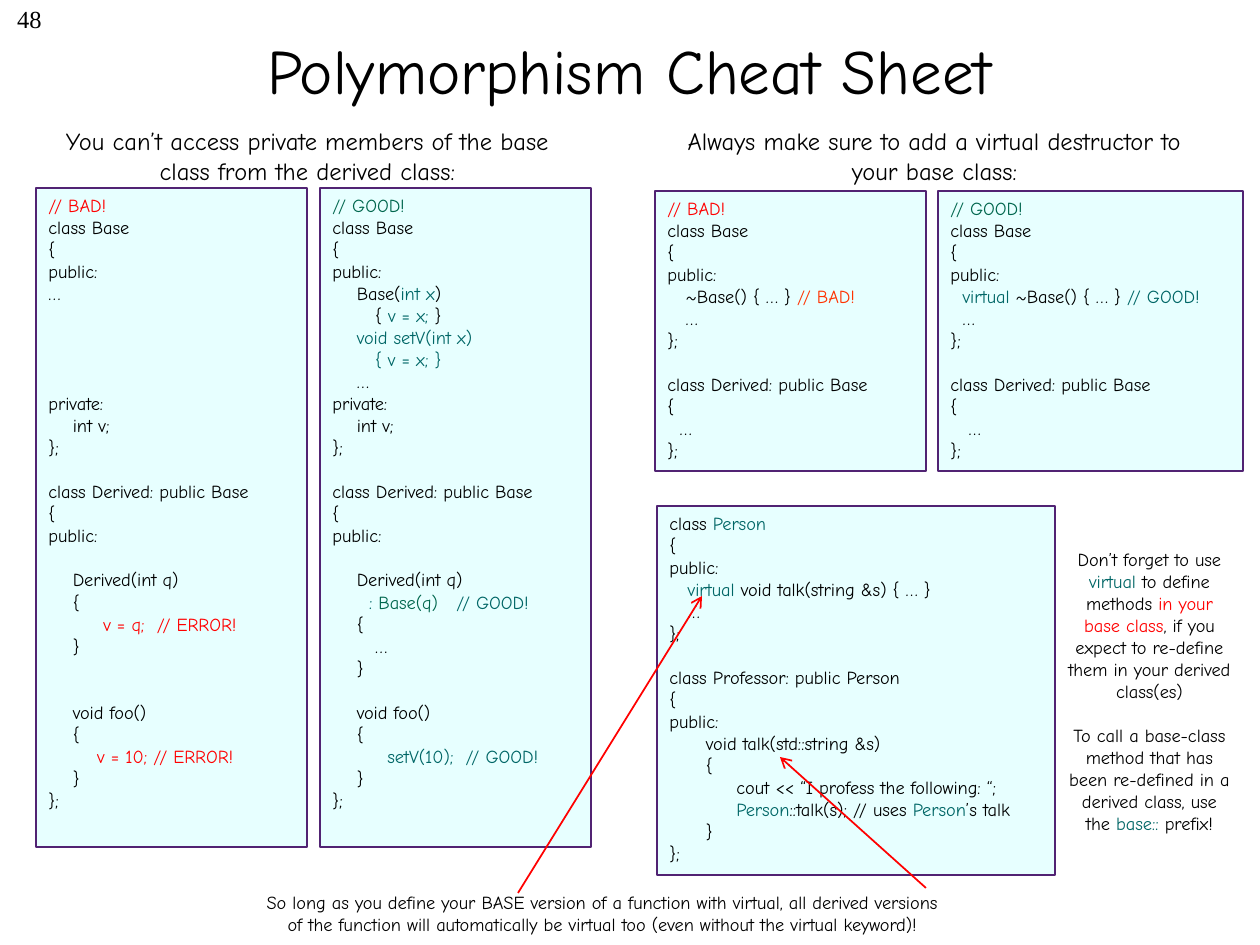
from dataclasses import dataclass

from lxml import etree
from pptx import Presentation
from pptx.dml.color import RGBColor
from pptx.enum.shapes import MSO_CONNECTOR, MSO_SHAPE
from pptx.enum.text import MSO_ANCHOR, PP_ALIGN
from pptx.oxml.ns import qn
from pptx.util import Pt

LEFT, MID, RIGHT = PP_ALIGN.LEFT, PP_ALIGN.CENTER, PP_ALIGN.RIGHT
TOP, MIDDLE = MSO_ANCHOR.TOP, MSO_ANCHOR.MIDDLE
RECT, LINE = MSO_SHAPE.RECTANGLE, MSO_CONNECTOR.STRAIGHT


@dataclass(frozen=True)
class Theme:
    font: str = "Comic Neue"
    serif: str = "Times New Roman"
    title: float = 36
    head: float = 14
    code: float = 10.5
    panel: str = "E7FFFF"
    edge: str = "512373"
    black: str = "000000"
    red: str = "FF0000"
    orange: str = "FF3300"
    green: str = "00664D"
    teal: str = "006666"


theme = Theme()
INKS = {"k": theme.black, "r": theme.red, "o": theme.orange,
        "g": theme.green, "t": theme.teal}


def px(*vals):
    """Turn pixels, 126 to the inch, into EMU."""
    return [v * 914400 // 126 for v in vals]


def write(frame, text, size, align=LEFT, gap=0, font=theme.font):
    """Write one paragraph a line; ^ and a key of INKS change the colour."""
    frame.word_wrap = True
    for i, line in enumerate(text.split("\n")):
        para = frame.paragraphs[0] if i == 0 else frame.add_paragraph()
        para.alignment = align
        if i and gap:
            para.space_before = Pt(gap)
        parts = [(p[0], p[1:]) for p in ("k" + line).split("^") if p[1:]]
        keys = {key for key, _ in parts} or {"k"}
        para.font.name, para.font.size = font, Pt(size)
        if len(keys) == 1:
            para.font.color.rgb = RGBColor.from_string(INKS[min(keys)])
        for key, words in parts:
            run = para.add_run()
            run.text = words
            if len(keys) > 1:
                run.font.color.rgb = RGBColor.from_string(INKS[key])


deck = Presentation()
deck.slide_width, deck.slide_height = px(1260, 945)
slide = deck.slides.add_slide(deck.slide_layouts[5])
shapes = slide.shapes

# Title and page number
title = shapes.title
title.left, title.top, title.width, title.height = px(94, -10, 1071, 158)
title.text_frame.vertical_anchor = MIDDLE
write(title.text_frame, "Polymorphism Cheat Sheet", theme.title, MID)

page = shapes.add_textbox(*px(0, 0, 54, 40)).text_frame
page.margin_left, page.margin_top = px(0, 4)
write(page, "48", theme.head, RIGHT, font=theme.serif)

# Headings
for left, text in [
    (26, "You can’t access private members of the base class from the derived class:"),
    (653, "Always make sure to add a virtual destructor to your base class:"),
]:
    box = shapes.add_textbox(*px(left, 120, 563, 72))
    write(box.text_frame, text, theme.head, MID)

# Code panels
bad_access = """^r// BAD!
class Base
{
public:
…




private:
    int v;
};

class Derived: public Base
{
public:

    Derived(int q)
    {
^r         v = q;  // ERROR!
    }


    void foo()
    {
^r        v = 10; // ERROR!
    }
};"""

good_access = """^g// GOOD!
class Base
{
public:
    Base(^tint x^k)
       { ^tv = x; ^k}
^t    void setV(int x)
^t       { v = x; }
    …
private:
    int v;
};

class Derived: public Base
{
public:

    Derived(int q)
      ^t: ^gBase(q)   ^t// GOOD!
    {
       …
    }

    void foo()
    {
^t         setV(10);  // GOOD!
    }
};"""

bad_virtual = """^r// BAD!
class Base
{
public:
   ~Base() { … } ^o// BAD!
   …
};

class Derived: public Base
{
  …
};"""

good_virtual = """^g// GOOD!
class Base
{
public:
^t  virtual ^k~Base() { … } ^t// GOOD!
  …
};

class Derived: public Base
{
   …
};"""

person = """class ^tPerson
{
public:
   ^tvirtual^k void talk(string &s) { … }
   …
};

class Professor: public Person
{
public:
      void talk(std::string &s)
      {
           cout << “I profess the following: “;
^t           Person^k::talk(s); // uses ^tPerson^k’s talk
      }
};"""

for place, code in [
    ((36, 188, 271, 659), bad_access),
    ((320, 188, 271, 659), good_access),
    ((655, 191, 271, 280), bad_virtual),
    ((938, 191, 305, 280), good_virtual),
    ((657, 506, 398, 369), person),
]:
    panel = shapes.add_shape(RECT, *px(*place))
    panel.shadow.inherit = False
    panel.fill.solid()
    panel.fill.fore_color.rgb = RGBColor.from_string(theme.panel)
    panel.line.color.rgb = RGBColor.from_string(theme.edge)
    panel.line.width = Pt(0.75)
    panel.text_frame.vertical_anchor = TOP
    write(panel.text_frame, code, theme.code)

# Advice beside and below the last panel
advice = (
    "Don’t forget to use ^tvirtual^k to define methods ^rin your base class^k, "
    "if you expect to re-define them in your derived class(es)\n"
    "To call a base-class method that has been re-defined in a derived class, "
    "use the ^tbase:: ^kprefix!"
)
note = (
    "So long as you define your BASE version of a function with virtual, all derived versions\n"
    "of the function will automatically be virtual too (even without the virtual keyword)!"
)
for place, text, gap in [
    ((1055, 542, 189, 346), advice, 12.5),
    ((195, 885, 815, 57), note, 0),
]:
    box = shapes.add_textbox(*px(*place))
    write(box.text_frame, text, theme.code, MID, gap)

# Arrows from the note to the code
for ends in [(518, 893, 702, 596), (926, 888, 780, 757)]:
    arrow = shapes.add_connector(LINE, *px(*ends))
    arrow.line.color.rgb = RGBColor.from_string(theme.red)
    arrow.line.width = Pt(1)
    etree.SubElement(arrow.line._get_or_add_ln(), qn("a:tailEnd"), type="arrow")
    etree.SubElement(arrow._element.spPr, qn("a:effectLst"))

deck.save("out.pptx")
